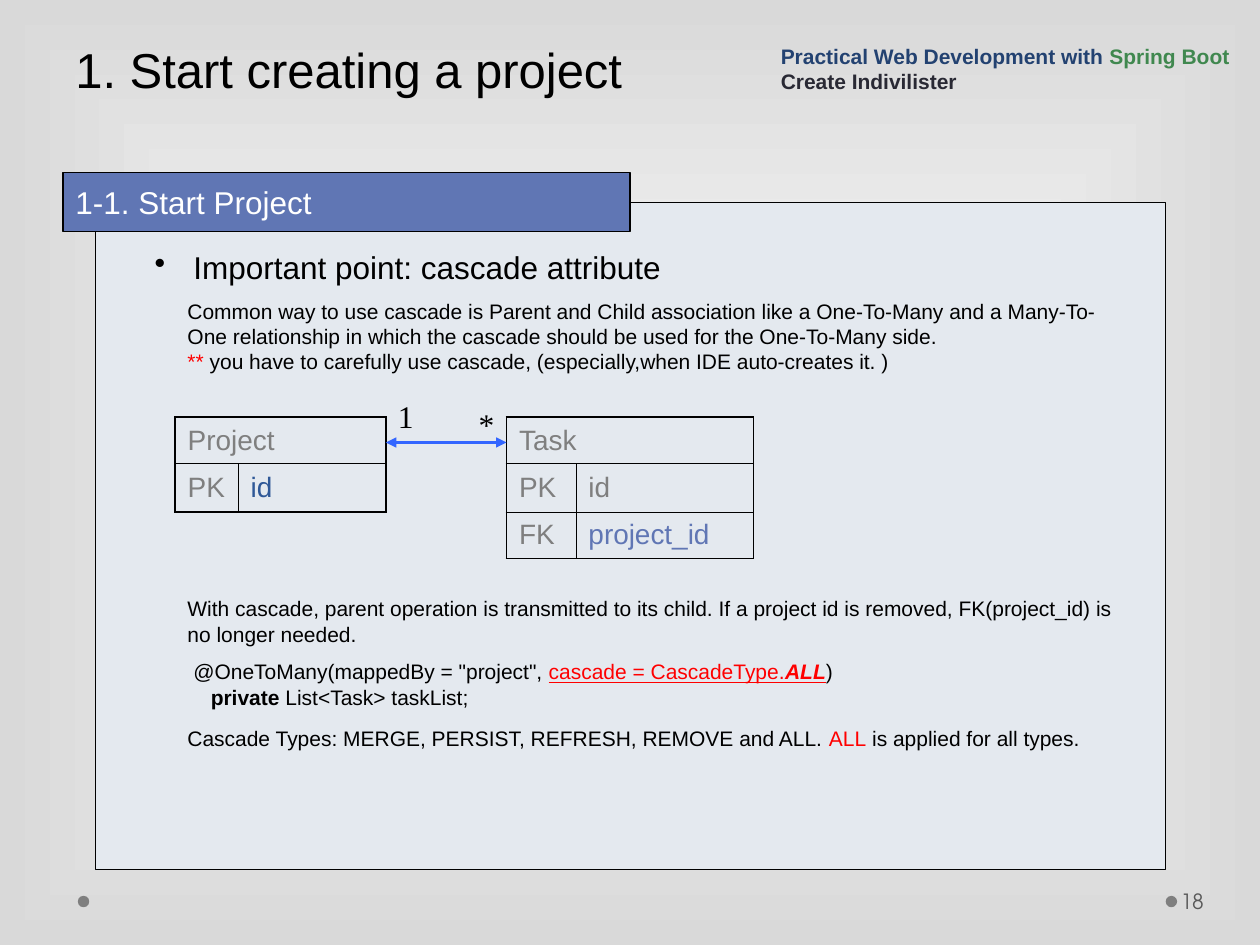
from lxml.etree import SubElement
from pptx import Presentation
from pptx.dml.color import RGBColor
from pptx.enum.shapes import MSO_CONNECTOR, MSO_SHAPE
from pptx.enum.text import MSO_ANCHOR as Anchor, PP_ALIGN as Align
from pptx.oxml.ns import qn
from pptx.util import Cm, Pt

BLACK = RGBColor(0x00, 0x00, 0x00)
WHITE = RGBColor(0xFF, 0xFF, 0xFF)
RED = RGBColor(0xFF, 0x00, 0x00)
GREY = RGBColor(0x7F, 0x7F, 0x7F)
DARK_GREY = RGBColor(0x59, 0x59, 0x59)
EDGE_GREY = RGBColor(0xD9, 0xD9, 0xD9)
PANEL = RGBColor(0xE4, 0xE9, 0xEF)
BAR = RGBColor(0x60, 0x76, 0xB4)
KEY_BLUE = RGBColor(0x2F, 0x58, 0x97)
NAVY = RGBColor(0x23, 0x42, 0x71)
GREEN = RGBColor(0x40, 0x88, 0x4F)
INK = RGBColor(0x29, 0x29, 0x34)
ARROW = RGBColor(0x33, 0x66, 0xFF)

# A run is (text, colour, styles), styles being letters out of b, i and u.
HEADER = [
    [("Practical Web Development with ", NAVY, "b"), ("Spring Boot", GREEN, "b")],
    [("Create Indivilister", INK, "b")],
]
BODY_LEFT = 3.53
# top, width, height, paragraphs
BODY_TEXTS = [
    (5.89, 19.43, 1.78, [
        [("Common way to use cascade is Parent and Child association like a "
          "One-To-Many and a Many-To-One relationship in which the cascade "
          "should be used for the One-To-Many side.", BLACK, "")],
        [("** ", RED, ""),
         ("you have to carefully use cascade, (especially,when IDE "
          "auto-creates it. )", BLACK, "")],
    ]),
    (11.89, 19.43, 1.27, [
        [("With cascade, parent operation is transmitted to its child. If a "
          "project id is removed, FK(project_id) is no longer needed.", BLACK, "")],
    ]),
    (13.16, 16.66, 1.27, [
        [(' @OneToMany(mappedBy = "project", ', BLACK, ""),
         ("cascade = CascadeType.", RED, "u"), ("ALL", RED, "biu"), (")", BLACK, "")],
        [("    ", BLACK, ""), ("private", BLACK, "b"),
         (" List<Task> taskList;", BLACK, "")],
    ]),
    (14.5, 19.43, 0.76, [
        [("Cascade Types: MERGE, PERSIST, REFRESH, REMOVE and ALL. ", BLACK, ""),
         ("ALL", RED, ""), (" is applied for all types.", BLACK, "")],
    ]),
]
TABLE_TOP = 8.41
ROW_HEIGHTS = (0.94, 0.97, 0.94)
# left, column widths, name, key rows (key, column, column colour)
ENTITIES = [
    (10.21, (1.4, 3.58), "Task", [("PK", "id", GREY), ("FK", "project_id", BAR)]),
    (BODY_LEFT, (1.27, 2.98), "Project", [("PK", "id", KEY_BLUE)]),
]
MULTIPLICITIES = [("1", 7.75, 7.87, 0.86), ("*", 9.4, 8.05, 0.81)]
ARROW_Y, ARROW_ENDS = 8.92, (7.78, 10.21)
DOTS = (23.5, 1.57)


def write(frame, paragraphs, size, font="Arial"):
    for number, runs in enumerate(paragraphs):
        paragraph = frame.paragraphs[0] if number == 0 else frame.add_paragraph()
        for text, colour, styles in runs:
            run = paragraph.add_run()
            run.text = text
            run.font.name = font
            run.font.size = Pt(size)
            run.font.color.rgb = colour
            run.font.bold = "b" in styles
            run.font.italic = "i" in styles
            run.font.underline = "u" in styles


def add_text(slide, box, paragraphs, size, font="Arial", anchor=Anchor.TOP):
    frame = slide.shapes.add_textbox(*map(Cm, box)).text_frame
    frame.word_wrap = True
    frame.vertical_anchor = anchor
    write(frame, paragraphs, size, font)
    return frame


def add_filled(slide, kind, box, fill, outlined=True):
    shape = slide.shapes.add_shape(kind, *map(Cm, box))
    shape.shadow.inherit = False
    shape.fill.solid()
    shape.fill.fore_color.rgb = fill
    if outlined:
        shape.line.color.rgb = BLACK
        shape.line.width = Pt(0.75)
    else:
        shape.line.fill.background()
    return shape


def set_borders(cell, outer_sides):
    """Draw all four sides, those in outer_sides (letters of LRTB) thicker."""
    properties = cell._tc.get_or_add_tcPr()
    for side in "LRTB":
        width = Pt(1.08 if side in outer_sides else 0.45)
        line = SubElement(properties, qn(f"a:ln{side}"), w=str(width))
        fill = SubElement(line, qn("a:solidFill"))
        SubElement(fill, qn("a:srgbClr"), val=str(BLACK))


def add_entity(slide, left, widths, name, keys):
    rows = [[(name, GREY), ("", GREY)]]
    rows += [[(key, GREY), (column, colour)] for key, column, colour in keys]
    heights = ROW_HEIGHTS[:len(rows)]
    table = slide.shapes.add_table(
        len(rows), 2, Cm(left), Cm(TABLE_TOP), Cm(sum(widths)), Cm(sum(heights))).table
    table.first_row = table.horz_banding = False
    for column, width in zip(table.columns, widths):
        column.width = Cm(width)
    for row, height in zip(table.rows, heights):
        row.height = Cm(height)
    table.cell(0, 0).merge(table.cell(0, 1))
    for r, row in enumerate(rows):
        for c, (text, colour) in enumerate(row):
            cell = table.cell(r, c)
            outer = "LR" if r == 0 else "LR"[c]
            outer += "T" * (r == 0) + "B" * (r == len(rows) - 1)
            set_borders(cell, outer)
            cell.fill.background()
            cell.vertical_anchor = Anchor.MIDDLE
            if text:
                write(cell.text_frame, [[(text, colour, "")]], 16)


def set_background(slide):
    fill = slide.background.fill
    fill.gradient()
    for stop, colour in zip(fill.gradient_stops, (WHITE, EDGE_GREY)):
        stop.color.rgb = colour
    linear = slide._element.find(".//" + qn("a:lin"))
    gradient = linear.getparent()
    gradient.remove(linear)
    shade = SubElement(gradient, qn("a:path"), path="rect")
    SubElement(shade, qn("a:fillToRect"), l="50000", t="50000", r="50000", b="50000")


def add_double_arrow(slide):
    start, end = ARROW_ENDS
    arrow = slide.shapes.add_connector(
        MSO_CONNECTOR.STRAIGHT, Cm(start), Cm(ARROW_Y), Cm(end), Cm(ARROW_Y))
    arrow.line.color.rgb = ARROW
    arrow.line.width = Pt(1.5)
    line = arrow.line._get_or_add_ln()
    for tag in ("a:headEnd", "a:tailEnd"):
        SubElement(line, qn(tag), type="triangle")
    SubElement(arrow._element.spPr, qn("a:effectLst"))


def main():
    presentation = Presentation()
    presentation.slide_width, presentation.slide_height = Cm(25.4), Cm(19.05)
    slide = presentation.slides.add_slide(presentation.slide_layouts[6])
    set_background(slide)

    for left in DOTS:
        add_filled(slide, MSO_SHAPE.OVAL, (left, 18.06, 0.23, 0.23), GREY, False)
    number = add_text(slide, (23.72, 17.65, 1.55, 1.02), [[("18", DARK_GREY, "")]],
                      12, "TeX Gyre Adventor", Anchor.MIDDLE)
    number.margin_left = Cm(0.08)

    add_filled(slide, MSO_SHAPE.RECTANGLE, (1.93, 4.09, 21.56, 13.44), PANEL)
    title = add_text(slide, (1.27, 0, 22.86, 4.09),
                     [[("1. Start creating a project", BLACK, "")]], 28,
                     anchor=Anchor.BOTTOM)
    title.margin_bottom = Cm(2.1)
    bar = add_filled(slide, MSO_SHAPE.RECTANGLE, (1.27, 3.48, 11.43, 1.19), BAR)
    bar.text_frame.vertical_anchor = Anchor.MIDDLE
    write(bar.text_frame, [[("1-1. Start Project", WHITE, "")]], 18)
    bar.text_frame.paragraphs[0].alignment = Align.LEFT

    point = add_text(slide, (2.87, 4.88, 19.66, 1.02),
                     [[("Important point: cascade attribute", BLACK, "")]], 18)
    properties = point.paragraphs[0]._p.get_or_add_pPr()
    properties.set("marL", str(Cm(0.78)))
    properties.set("indent", str(-Cm(0.78)))
    SubElement(properties, qn("a:buChar"), char="•")

    add_text(slide, (15.49, 0.61, 9.91, 1.4), HEADER, 12, anchor=Anchor.BOTTOM)
    for top, width, height, paragraphs in BODY_TEXTS:
        add_text(slide, (BODY_LEFT, top, width, height), paragraphs, 12)

    for entity in ENTITIES:
        add_entity(slide, *entity)
    add_double_arrow(slide)
    for text, left, top, width in MULTIPLICITIES:
        label = add_text(slide, (left, top, width, 1.02), [[(text, BLACK, "")]],
                         18, "Times New Roman")
        label.word_wrap = False
        label.paragraphs[0].alignment = Align.CENTER

    presentation.save("out.pptx")


if __name__ == "__main__":
    main()
